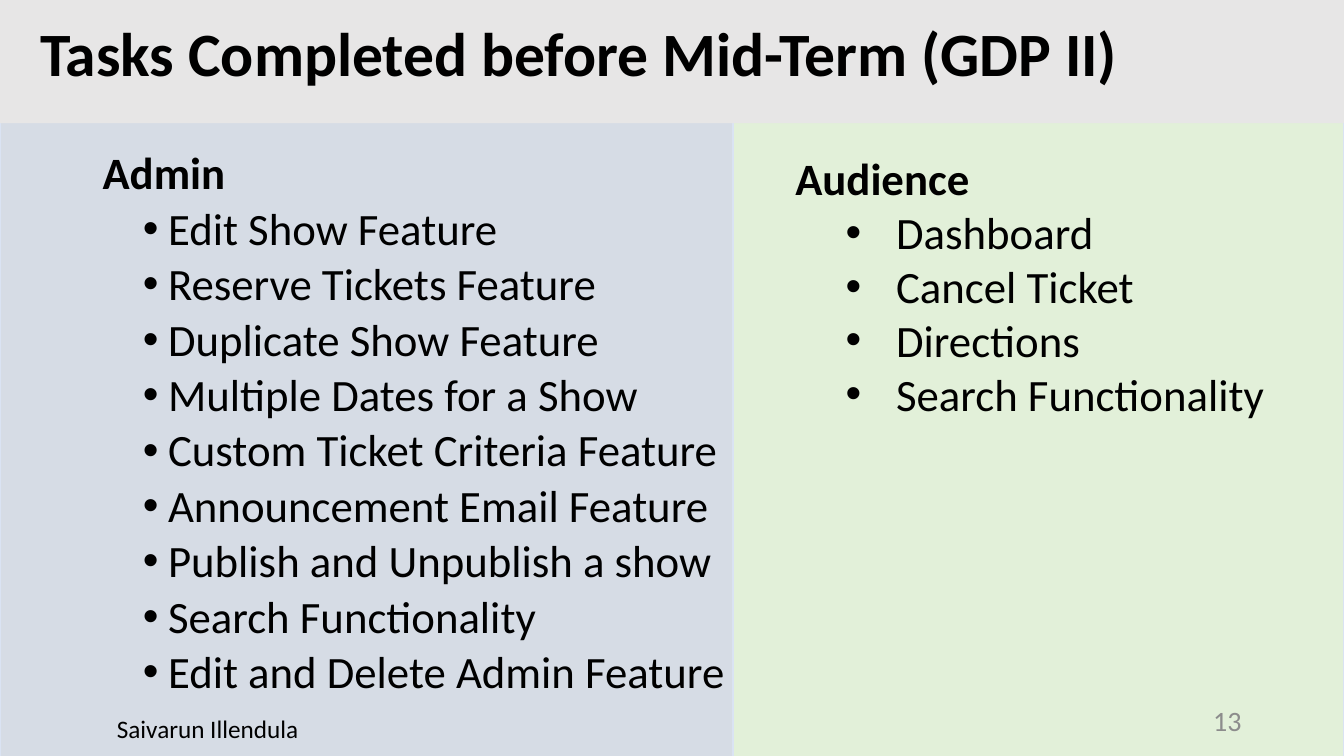
from lxml import etree
from pptx import Presentation
from pptx import util as u
from pptx.dml.color import RGBColor
from pptx.enum import shapes, text
from pptx.oxml.ns import qn

Pt = u.Pt
THEME = {
    "font": "Calibri",
    "ink": "000000", "muted": "8C8C8C", "edge": "DAE3F3",
    "banner": "E7E6E6", "admin": "D6DCE5", "audience": "E2F0D9",
    "title": 44, "list": 32, "footer": 18, "number": 20,
}

prs = Presentation()
prs.slide_width, prs.slide_height = Pt(960), Pt(540)
s = prs.slides.add_slide(prs.slide_layouts[6])


def add_panel(left, top, width, height, fill, edge=None):
    sp = s.shapes.add_shape(shapes.MSO_SHAPE.RECTANGLE, Pt(left), Pt(top), Pt(width), Pt(height))
    sp.shadow.inherit = False
    sp.fill.solid()
    sp.fill.fore_color.rgb = RGBColor.from_string(THEME[fill])
    if edge:
        sp.line.color.rgb = RGBColor.from_string(THEME[edge])
        sp.line.width = Pt(1)
    else:
        sp.line.fill.background()


def add_text(left, top, width, height, lines, size, color="ink", bold=False, align=text.PP_ALIGN.LEFT):
    tf = s.shapes.add_textbox(Pt(left), Pt(top), Pt(width), Pt(height)).text_frame
    tf.word_wrap = True
    tf.text = "\n".join(lines)
    for p in tf.paragraphs:
        p.alignment = align
        for r in p.runs:
            r.font.name = THEME["font"]
            r.font.size = Pt(THEME[size])
            r.font.bold = bold
            r.font.color.rgb = RGBColor.from_string(THEME[color])
    return tf


# Column backgrounds
add_panel(524, 0, 436, 545, "audience", "edge")
add_panel(0, 0, 523.5, 545, "admin", "edge")

# Task lists: box, bullet indent, hanging width, line spacing, space before, lines
admin_tasks = [
    " Admin", "Edit Show Feature", "Reserve Tickets Feature", "Duplicate Show Feature",
    "Multiple Dates for a Show", "Custom Ticket Criteria Feature",
    "Announcement Email Feature", "Publish and Unpublish a show",
    "Search Functionality", "Edit and Delete Admin Feature",
]
audience_tasks = ["Audience", "Dashboard", "Cancel Ticket", "Directions", "Search Functionality"]
task_lists = [
    ((59, 104.4, 848, 413), 54, 18, 0.9, (10, 5), admin_tasks),
    ((561, 104.4, 436, 223), 72, 36, 1.0, (0, 0), audience_tasks),
]
for box, indent, hanging, spacing, (head_gap, task_gap), lines in task_lists:
    tf = add_text(*box, lines, "list")
    heading, *tasks = tf.paragraphs
    heading.runs[0].font.bold = True
    heading.line_spacing = spacing
    heading.space_before = Pt(head_gap)
    for p in tasks:
        p.level = 1
        p.line_spacing = spacing
        p.space_before = Pt(task_gap)
        pPr = p._p.get_or_add_pPr()
        pPr.set("marL", str(Pt(indent)))
        pPr.set("indent", str(-Pt(hanging)))
        etree.SubElement(pPr, qn("a:buFont")).set("typeface", "Arial")
        etree.SubElement(pPr, qn("a:buChar")).set("char", "•")

# Presenter
add_text(40.3, 506, 216, 29, ["Saivarun Illendula"], "footer", align=text.PP_ALIGN.CENTER)

# Title banner
add_panel(-6.5, -4.3, 978.5, 92.2, "banner")
add_text(21.6, 7.2, 832, 70, ["Tasks Completed before Mid-Term (GDP II)"], "title", bold=True)

# Slide number
tf = add_text(678, 500.4, 216, 28.8, ["13"], "number", "muted", align=text.PP_ALIGN.RIGHT)
tf.vertical_anchor = text.MSO_ANCHOR.MIDDLE

prs.save("out.pptx")
